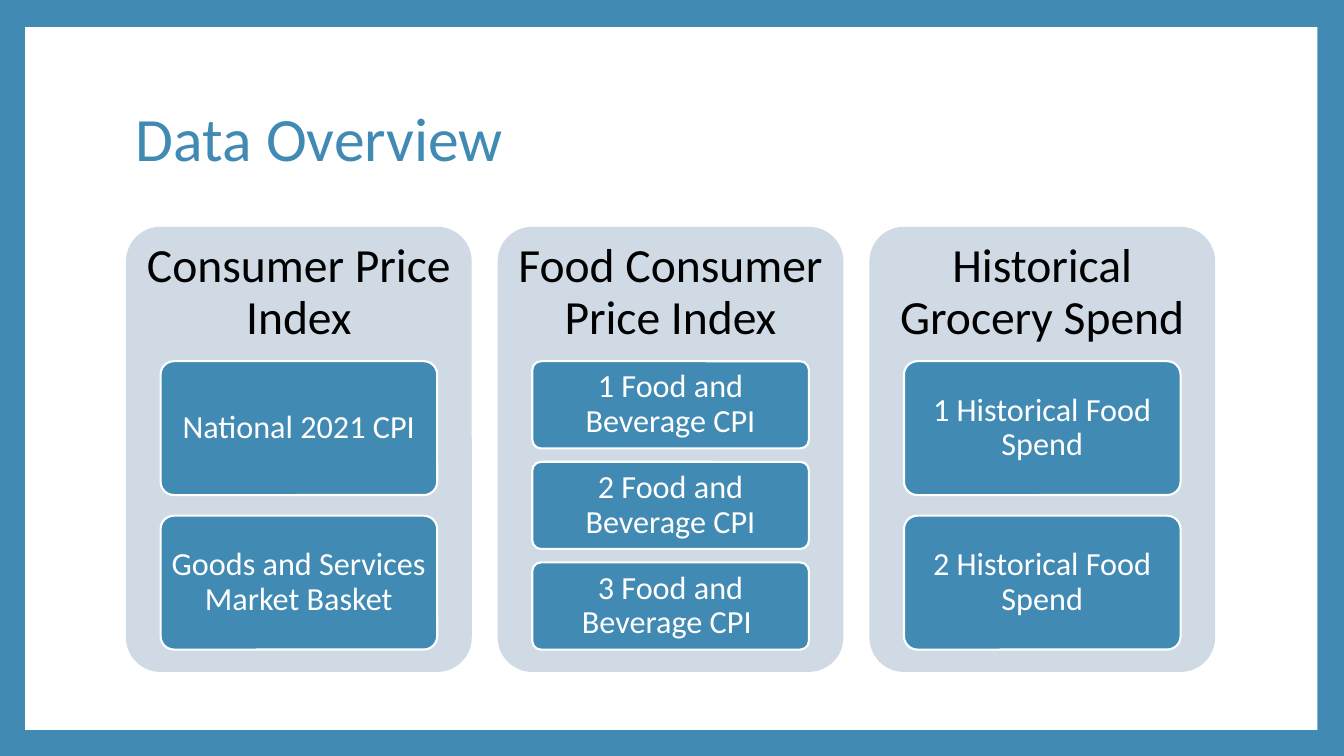
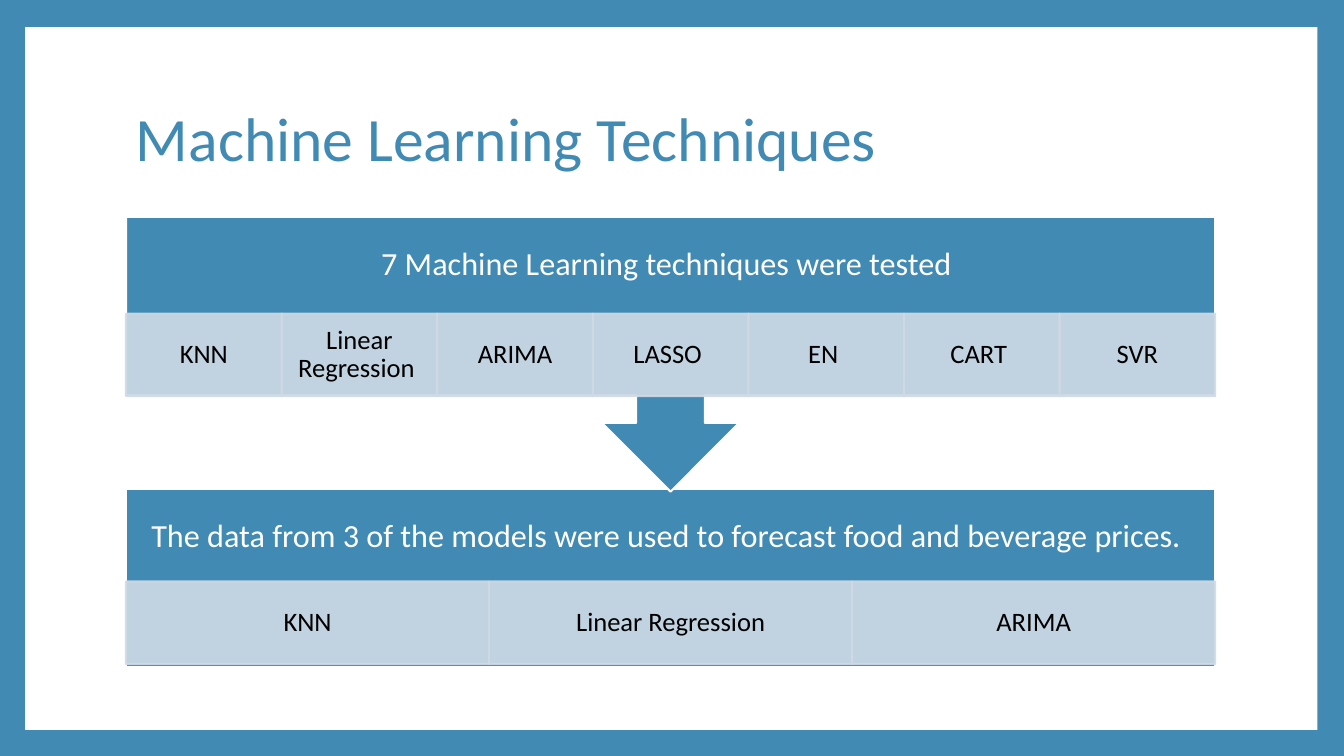
"""Build two slides on grocery price data and the forecasting techniques."""
from dataclasses import dataclass
from typing import Optional

import pptx
import pptx.dml.color
import pptx.enum.shapes
import pptx.enum.text
import pptx.oxml
import pptx.oxml.ns
import pptx.slide
import pptx.util

Pt = pptx.util.Pt
Kind = pptx.enum.shapes.MSO_SHAPE
Anchor = pptx.enum.text.MSO_ANCHOR
Align = pptx.enum.text.PP_ALIGN

COLORS = {"blue": "418AB3", "pale": "CFDAE5", "white": "FFFFFF", "black": "000000"}
FONT = "Calibri"
LEFT, WIDTH = 90, 778
COLUMN_TOP, COLUMN_WIDTH, COLUMN_HEIGHT = 162, 247, 318
CARDS_TOP, CARDS_HEIGHT = 258, 206
CARD_WIDTH = 0.8 * COLUMN_WIDTH
CARD_GAP_RATIO = 2 / 13
CELL_HEIGHT = 59


@dataclass(frozen=True)
class Box:
    left: float
    top: float
    width: float
    height: float


@dataclass(frozen=True)
class Style:
    kind: Kind
    fill: str
    line: Optional[str] = None
    size: float = 23
    color: str = "white"
    margins: tuple[float, float, float, float] = (0, 0, 0, 0)
    opacity: int = 100


@dataclass(frozen=True)
class Column:
    heading: str
    cards: tuple[str, ...]


@dataclass(frozen=True)
class Step:
    style: Style
    top: float
    height: float
    heading: str
    cells_top: float
    cells: tuple[str, ...]


PANEL = Style(Kind.RECTANGLE, "white")
COLUMN = Style(Kind.ROUNDED_RECTANGLE, "pale", size=34, color="black", margins=(3, 3, 3, 226))
CARD = Style(Kind.ROUNDED_RECTANGLE, "blue", "white", margins=(4, 3.5, 4, 3.5))
BAND = Style(Kind.RECTANGLE, "blue", "white", margins=(13, 13, 13, 71))
CALLOUT = Style(Kind.DOWN_ARROW_CALLOUT, "blue", "white", margins=(13, 13, 13, 71))
CELL = Style(Kind.RECTANGLE, "pale", "pale", 19, "black", (11, 2.5, 11, 2.5), 90)

DATA_COLUMNS = (
    Column("Consumer Price Index", ("National 2021 CPI", "Goods and Services Market Basket")),
    Column("Food Consumer Price Index", tuple(f"{n} Food and Beverage CPI" for n in (1, 2)) + ("3 Food and Beverage CPI ",)),
    Column("Historical Grocery Spend", ("1 Historical Food Spend", "2 Historical Food Spend")),
)
STEPS = (
    Step(BAND, 349.2, 127.4,
         "The data from 3 of the models were used to forecast food and beverage prices. ",
         415.4, ("KNN", "Linear Regression", "ARIMA")),
    Step(CALLOUT, 154.8, 196.4, "7 Machine Learning techniques were tested ",
         224, ("KNN", "Linear Regression ", "ARIMA", "LASSO ", "EN ", "CART ", "SVR")),
)


def rgb(name: str) -> pptx.dml.color.RGBColor:
    """Return the named colour."""
    return pptx.dml.color.RGBColor.from_string(COLORS[name])


def points(box: Box) -> tuple[pptx.util.Length, ...]:
    """Return the position and size of a box as lengths."""
    return Pt(box.left), Pt(box.top), Pt(box.width), Pt(box.height)


def write(frame, text: str, size: float, color: str, align: Align, anchor: Anchor) -> None:
    """Write one styled paragraph into a text frame."""
    frame.word_wrap = True
    frame.vertical_anchor = anchor
    paragraph = frame.paragraphs[0]
    paragraph.alignment = align
    paragraph.line_spacing = 0.9
    run = paragraph.add_run()
    run.text = text
    run.font.name = FONT
    run.font.size = Pt(size)
    run.font.color.rgb = rgb(color)


def draw(slide: pptx.slide.Slide, box: Box, style: Style, text: str = "") -> None:
    """Draw one styled shape with its text."""
    shape = slide.shapes.add_shape(style.kind, *points(box))
    shape.shadow.inherit = False
    if style.kind == Kind.ROUNDED_RECTANGLE:
        shape.adjustments[0] = 0.1
    shape.fill.solid()
    shape.fill.fore_color.rgb = rgb(style.fill)
    if style.line:
        shape.line.color.rgb = rgb(style.line)
        shape.line.width = Pt(1.5)
    else:
        shape.line.fill.background()
    if style.opacity < 100:
        for tint in shape.element.spPr.iter(pptx.oxml.ns.qn("a:srgbClr")):
            alpha = pptx.oxml.parse_xml(
                f'<a:alpha {pptx.oxml.ns.nsdecls("a")} val="{style.opacity * 1000}"/>')
            tint.append(alpha)
    if text:
        frame = shape.text_frame
        (frame.margin_left, frame.margin_top,
         frame.margin_right, frame.margin_bottom) = map(Pt, style.margins)
        write(frame, text, style.size, style.color, Align.CENTER, Anchor.MIDDLE)


def add_framed_slide(deck, title: str) -> pptx.slide.Slide:
    """Add a slide with the white panel and its title."""
    slide = deck.slides.add_slide(deck.slide_layouts[6])
    draw(slide, Box(18, 19.3, 923, 502), PANEL)
    heading = slide.shapes.add_textbox(*points(Box(LEFT, 48, WIDTH, 106.6)))
    write(heading.text_frame, title, 44, "blue", Align.LEFT, Anchor.MIDDLE)
    return slide


def draw_column(slide: pptx.slide.Slide, left: float, column: Column) -> None:
    """Draw a column and spread its cards evenly down it."""
    draw(slide, Box(left, COLUMN_TOP, COLUMN_WIDTH, COLUMN_HEIGHT), COLUMN, column.heading)
    count = len(column.cards)
    height = CARDS_HEIGHT / (count + (count - 1) * CARD_GAP_RATIO)
    card_left = left + (COLUMN_WIDTH - CARD_WIDTH) / 2
    for index, card in enumerate(column.cards):
        top = CARDS_TOP + index * height * (1 + CARD_GAP_RATIO)
        draw(slide, Box(card_left, top, CARD_WIDTH, height), CARD, card)


def draw_step(slide: pptx.slide.Slide, step: Step) -> None:
    """Draw a process step and its row of equal cells."""
    draw(slide, Box(LEFT, step.top, WIDTH, step.height), step.style, step.heading)
    width = WIDTH / len(step.cells)
    for index, cell in enumerate(step.cells):
        draw(slide, Box(LEFT + index * width, step.cells_top, width, CELL_HEIGHT), CELL, cell)


def main() -> None:
    """Build and save the presentation."""
    deck = pptx.Presentation()
    deck.slide_width, deck.slide_height = Pt(960), Pt(540)
    backdrop = deck.slide_master.background.fill
    backdrop.solid()
    backdrop.fore_color.rgb = rgb("blue")

    overview = add_framed_slide(deck, "Data Overview")
    pitch = (WIDTH - COLUMN_WIDTH) / (len(DATA_COLUMNS) - 1)
    for index, column in enumerate(DATA_COLUMNS):
        draw_column(overview, LEFT + index * pitch, column)

    techniques = add_framed_slide(deck, "Machine Learning Techniques")
    for step in STEPS:
        draw_step(techniques, step)

    deck.save("out.pptx")


if __name__ == "__main__":
    main()
